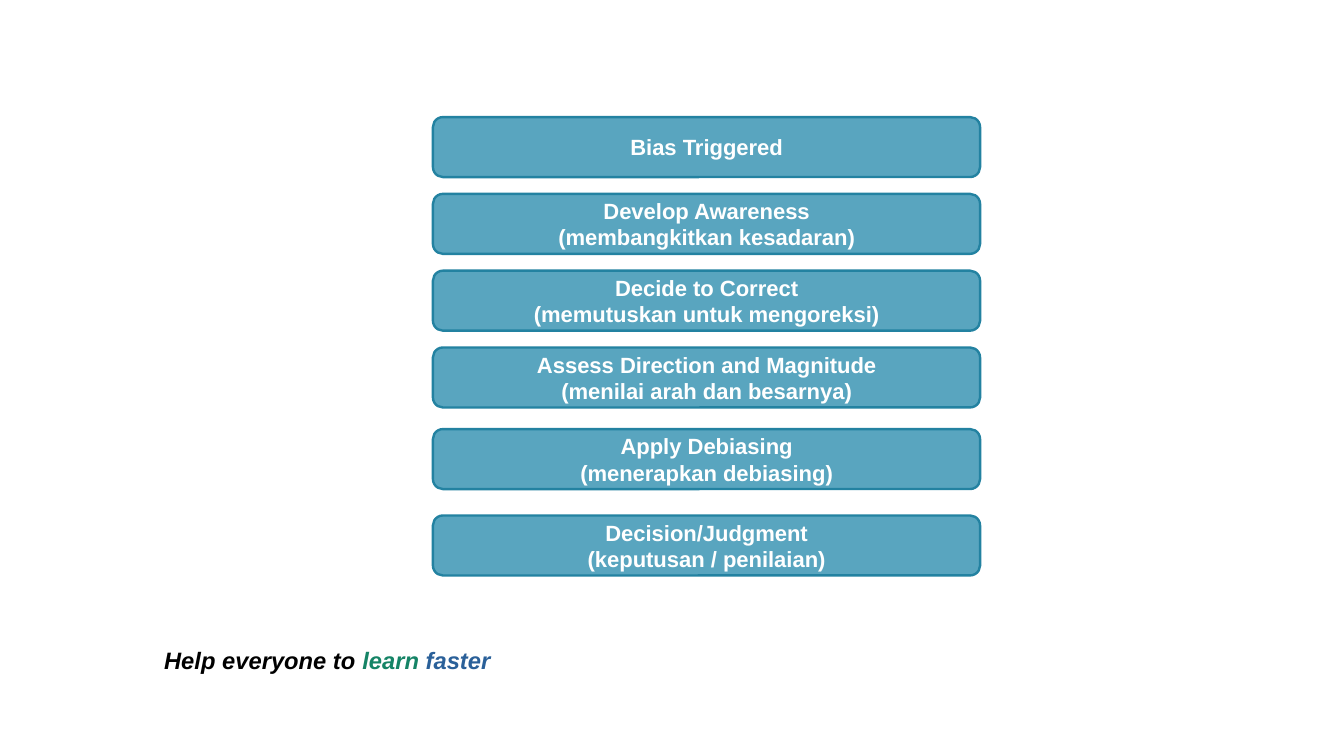
from pptx import Presentation
from pptx.dml.color import RGBColor
from pptx.enum import shapes, text
from pptx.util import Cm, Pt

FONT = "Arial"
STEP_FILL = RGBColor(0x59, 0xA5, 0xBF)
STEP_LINE = RGBColor(0x23, 0x82, 0xA1)
WHITE = RGBColor(0xFF, 0xFF, 0xFF)
BLACK = RGBColor(0x00, 0x00, 0x00)
GREEN = RGBColor(0x15, 0x84, 0x66)
BLUE = RGBColor(0x2A, 0x60, 0x99)

# Top edge in centimetres, then the lines of each step
STEPS = [
    (2.44, ["Bias Triggered"]),
    (4.04, ["Develop Awareness", "(membangkitkan kesadaran)"]),
    (5.64, ["Decide to Correct", "(memutuskan untuk mengoreksi)"]),
    (7.24, ["Assess Direction and Magnitude", "(menilai arah dan besarnya)"]),
    (8.94, ["Apply Debiasing", "(menerapkan debiasing)"]),
    (10.74, ["Decision/Judgment", "(keputusan / penilaian)"]),
]
SLOGAN = [("Help everyone to ", BLACK), ("learn ", GREEN), ("faster", BLUE)]


def add_span(para, words, size, color, italic=False):
    span = para.add_run()
    span.text = words
    span.font.name = FONT
    span.font.size = Pt(size)
    span.font.bold = True
    span.font.italic = italic
    span.font.color.rgb = color


def add_step(page, top, lines):
    box = page.shapes.add_shape(shapes.MSO_SHAPE.ROUNDED_RECTANGLE,
                                Cm(9.02), Cm(top), Cm(11.4), Cm(1.25))
    box.shadow.inherit = False
    box.fill.solid()
    box.fill.fore_color.rgb = STEP_FILL
    box.line.color.rgb = STEP_LINE
    box.line.width = Pt(1.42)
    frame = box.text_frame
    frame.word_wrap = True
    frame.vertical_anchor = text.MSO_ANCHOR.MIDDLE
    for index, line in enumerate(lines):
        para = frame.add_paragraph() if index else frame.paragraphs[0]
        para.alignment = text.PP_ALIGN.CENTER
        add_span(para, line, 13, WHITE)


def add_slogan(page):
    box = page.shapes.add_textbox(Cm(3.17), Cm(13.34), Cm(7.6), Cm(0.82))
    box.text_frame.word_wrap = True
    for words, color in SLOGAN:
        add_span(box.text_frame.paragraphs[0], words, 14, color, italic=True)


def main():
    deck = Presentation()
    deck.slide_width, deck.slide_height = Cm(28), Cm(15.75)
    page = deck.slides.add_slide(deck.slide_layouts.get_by_name("Blank"))
    for top, lines in STEPS:
        add_step(page, top, lines)
    add_slogan(page)
    deck.save("out.pptx")


if __name__ == "__main__":
    main()
